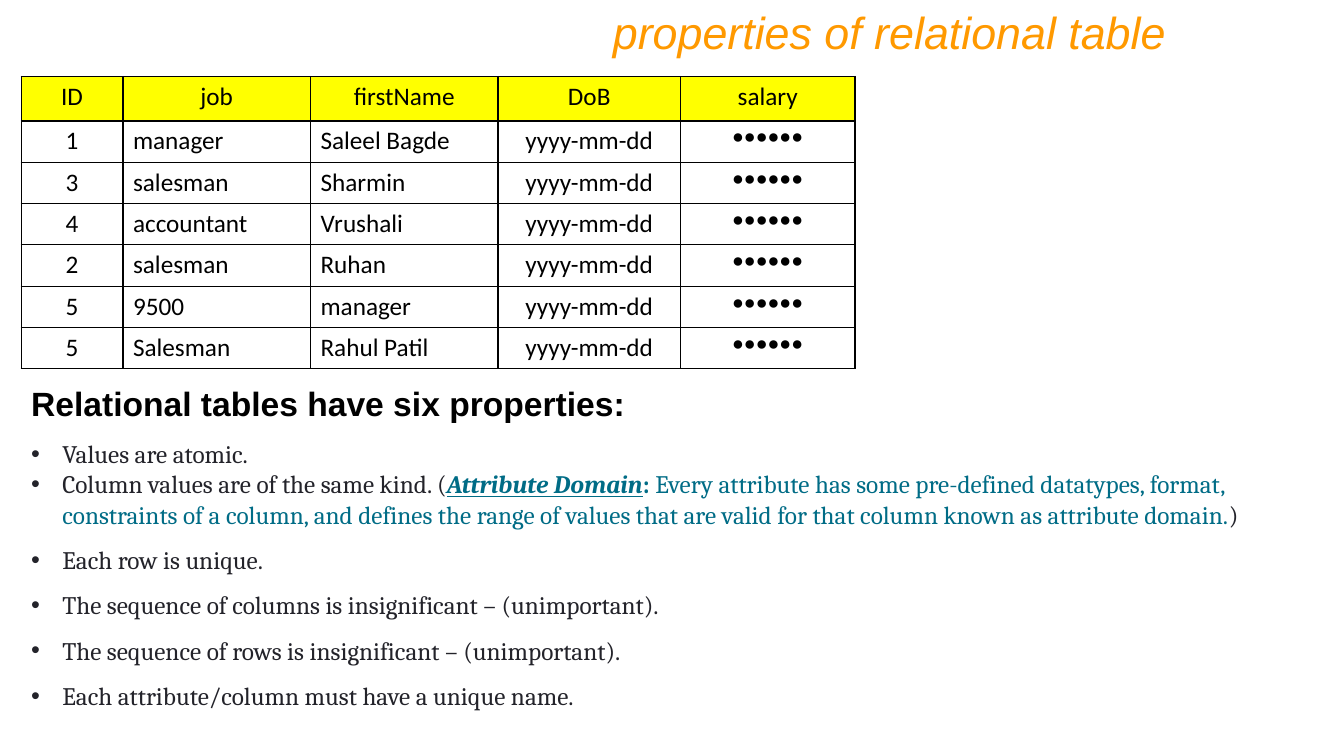
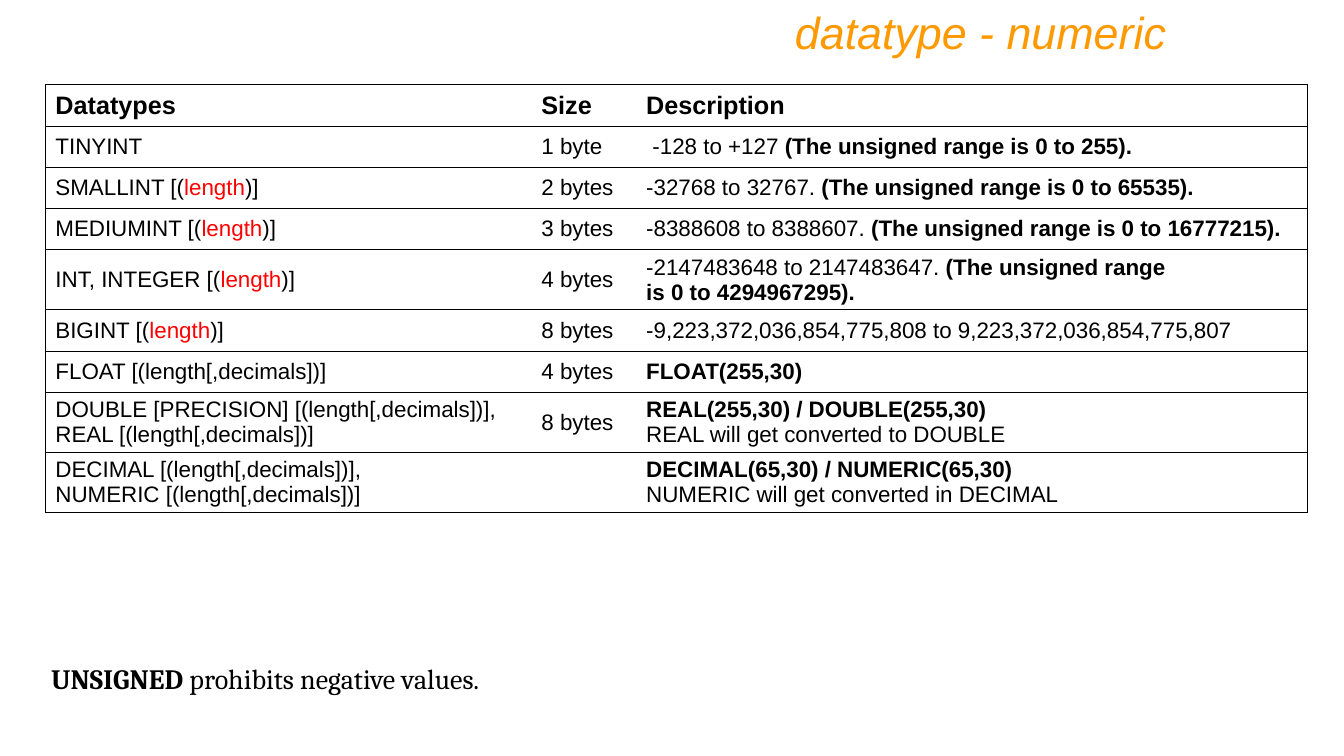
from pptx import Presentation
from pptx.dml.color import RGBColor
from pptx.enum import text as t
from pptx.oxml import parse_xml
from pptx.oxml.ns import nsdecls
from pptx.util import Inches, Pt

BLACK, WHITE, YELLOW, RED = "000000", "FFFFFF", "FFFF00", "FF0000"
ORANGE, INK, TEAL = "FF9900", "23232A", "006C86"
LEFT, MID, RIGHT = t.PP_ALIGN.LEFT, t.PP_ALIGN.CENTER, t.PP_ALIGN.RIGHT
TOP, MIDDLE = t.MSO_ANCHOR.TOP, t.MSO_ANCHOR.MIDDLE
NB = chr(160)  # no-break space

HEAD = dict(face="Arial", size=24, bold=True)
BODY = dict(face="Cambria", size=18, color=INK)
NOTE = dict(face="Cambria", size=20)
STAFF = dict(face="Calibri", size=18)
DOTS = dict(face="Arial", size=14)
TYPES = dict(face="Arial", size=16)


def rgb(code):
    return RGBColor.from_string(code)


def style(font, face, size, color=BLACK, bold=False, italic=False, under=False):
    font.name, font.size = face, Pt(size)
    font.color.rgb = rgb(color)
    font.bold, font.italic, font.underline = bold, italic, under


def write(par, runs, base, align=LEFT):
    """Add runs, each a string or a (string, changes to base) pair."""
    par.alignment = align
    for item in [runs] if isinstance(runs, str) else runs:
        words, change = (item, {}) if isinstance(item, str) else item
        run = par.add_run()
        run.text = words
        style(run.font, **{**base, **change})


def bullet(par):
    props = par._p.get_or_add_pPr()
    props.set("marL", str(Inches(0.31)))
    props.set("indent", str(Inches(-0.31)))
    props.append(parse_xml(f'<a:buFont {nsdecls("a")} typeface="Arial"/>'))
    props.append(parse_xml(f'<a:buChar {nsdecls("a")} char="•"/>'))


def add_slide(deck, title):
    slide = deck.slides.add_slide(deck.slide_layouts[5])
    box = slide.shapes.title
    box.left, box.top = Inches(1.67), Inches(0)
    box.width, box.height = Inches(10), Inches(0.64)
    frame = box.text_frame
    frame.vertical_anchor = TOP
    frame.auto_size = t.MSO_AUTO_SIZE.NONE
    look = dict(face="Arial", size=32, color=ORANGE, italic=True)
    write(frame.paragraphs[0], title, look, RIGHT)
    return slide


def add_box(slide, x, y, w, h):
    box = slide.shapes.add_textbox(Inches(x), Inches(y), Inches(w), Inches(h))
    box.text_frame.word_wrap = True
    return box.text_frame


def add_grid(slide, x, y, cols, rows):
    """Add a plain table with the given column widths and row heights."""
    grid = slide.shapes.add_table(
        len(rows), len(cols), Inches(x), Inches(y),
        Inches(sum(cols)), Inches(sum(rows))).table
    grid.first_row = grid.horz_banding = False
    for col, width in zip(grid.columns, cols):
        col.width = Inches(width)
    for row, height in zip(grid.rows, rows):
        row.height = Inches(height)
    return grid


def edge(cell, sides, width):
    """Draw the named sides of a cell and clear the others."""
    props = cell._tc.get_or_add_tcPr()
    for side in "LRTB":
        ink = (f'<a:solidFill><a:srgbClr val="{BLACK}"/></a:solidFill>'
               if side in sides else "<a:noFill/>")
        props.append(parse_xml(
            f'<a:ln{side} {nsdecls("a")} w="{Pt(width)}">{ink}</a:ln{side}>'))


def paint(cell, color):
    cell.fill.solid()
    cell.fill.fore_color.rgb = rgb(color)


def staff_table(slide):
    names = ["ID", "job", "firstName", "DoB", "salary"]
    people = [
        ("1", "manager", "Saleel Bagde"),
        ("3", "salesman", "Sharmin"),
        ("4", "accountant", "Vrushali"),
        ("2", "salesman", "Ruhan"),
        ("5", "9500", "manager"),
        ("5", "Salesman", "Rahul Patil"),
    ]
    rows = [names] + [[*who, "yyyy-mm-dd", "●●●●●●"] for who in people]
    grid = add_grid(slide, 0.21, 0.76, [1.01, 1.86, 1.86, 1.81, 1.73],
                    [0.44] + [0.41] * len(people))
    for r, row in enumerate(rows):
        for c, words in enumerate(row):
            cell = grid.cell(r, c)
            edge(cell, "LRTB", 1)
            if r == 0:
                paint(cell, YELLOW)
            else:
                cell.fill.background()
            base = DOTS if r and c == 4 else STAFF
            align = LEFT if r and c in (1, 2) else MID
            write(cell.text_frame.paragraphs[0], words, base, align)


def rules(slide):
    frame = add_box(slide, 0.21, 3.75, 12.91, 3.64)
    write(frame.paragraphs[0], "Relational tables have six properties:", HEAD)
    teal = dict(color=TEAL)
    domain = [
        "Column values are of the same kind. (",
        ("Attribute Domain", dict(teal, bold=True, italic=True, under=True)),
        (": ", dict(teal, bold=True)),
        ("Every attribute has some pre-defined datatypes, format, constraints "
         "of a column, and defines the range of values that are valid for that "
         "column known as attribute domain.", teal),
        ")",
    ]
    items = [
        "Values are atomic.",
        domain,
        "Each row is unique.",
        "The sequence of columns is insignificant – (unimportant).",
        "The sequence of rows is insignificant – (unimportant).",
        "Each attribute/column must have a unique name.",
    ]
    for item in items:
        par = frame.add_paragraph()
        par.line_spacing = 1.0 if item is domain else 1.5
        bullet(par)
        write(par, item, BODY)


def strong(words):
    return (words, dict(bold=True))


def sized(name):
    return [[f"{name} [(", ("length", dict(color=RED)), ")]"]]


def span(low, high, top):
    """Give the signed range and the highest unsigned value."""
    return [[f"{low} to {high} ",
             strong(f"(The unsigned range is{NB}0{NB}to{NB}{top}).")]]


def type_table(slide):
    rows = [
        (["Datatypes"], ["Size"], ["Description"]),
        (["TINYINT"], ["1 byte"], span(NB + "-128", "+127", 255)),
        (sized("SMALLINT"), ["2 bytes"], span("-32768", "32767.", 65535)),
        (sized("MEDIUMINT"), ["3 bytes"],
         span("-8388608", "8388607.", 16777215)),
        (sized("INT, INTEGER"), ["4 bytes"],
         span("-2147483648", "2147483647.", 4294967295)),
        (sized("BIGINT"), ["8 bytes"],
         ["-9,223,372,036,854,775,808 to 9,223,372,036,854,775,807"]),
        (["FLOAT [(length[,decimals])]"], ["4 bytes"],
         [[strong("FLOAT(255,30)")]]),
        (["DOUBLE [PRECISION] [(length[,decimals])],",
          "REAL [(length[,decimals])]"], ["8 bytes"],
         [[strong("REAL(255,30) / DOUBLE(255,30)")],
          "REAL will get converted to DOUBLE"]),
        (["DECIMAL [(length[,decimals])],", "NUMERIC [(length[,decimals])]"],
         [],
         [[strong("DECIMAL(65,30) / NUMERIC(65,30)")],
          "NUMERIC will get converted in DECIMAL"]),
    ]
    grid = add_grid(slide, 0.45, 0.84, [4.82, 1.04, 6.66], [0.41] * len(rows))
    sides = ["LTB", "TB", "RTB"]
    for r, row in enumerate(rows):
        base = TYPES if r else dict(TYPES, size=18, bold=True)
        for c, lines in enumerate(row):
            cell = grid.cell(r, c)
            edge(cell, sides[c], 0.75)
            paint(cell, WHITE)
            cell.vertical_anchor = MIDDLE
            frame = cell.text_frame
            for n, line in enumerate(lines):
                par = frame.add_paragraph() if n else frame.paragraphs[0]
                write(par, line, base)


def main():
    deck = Presentation()
    deck.slide_width, deck.slide_height = Inches(13.33), Inches(7.5)

    slide = add_slide(deck, "properties of relational table")
    staff_table(slide)
    rules(slide)

    slide = add_slide(deck, "datatype - numeric")
    type_table(slide)
    note = add_box(slide, 0.41, 6.51, 6.14, 0.44)
    write(note.paragraphs[0],
          [strong("UNSIGNED"), " prohibits negative values."], NOTE)

    deck.save("out.pptx")


if __name__ == "__main__":
    main()
